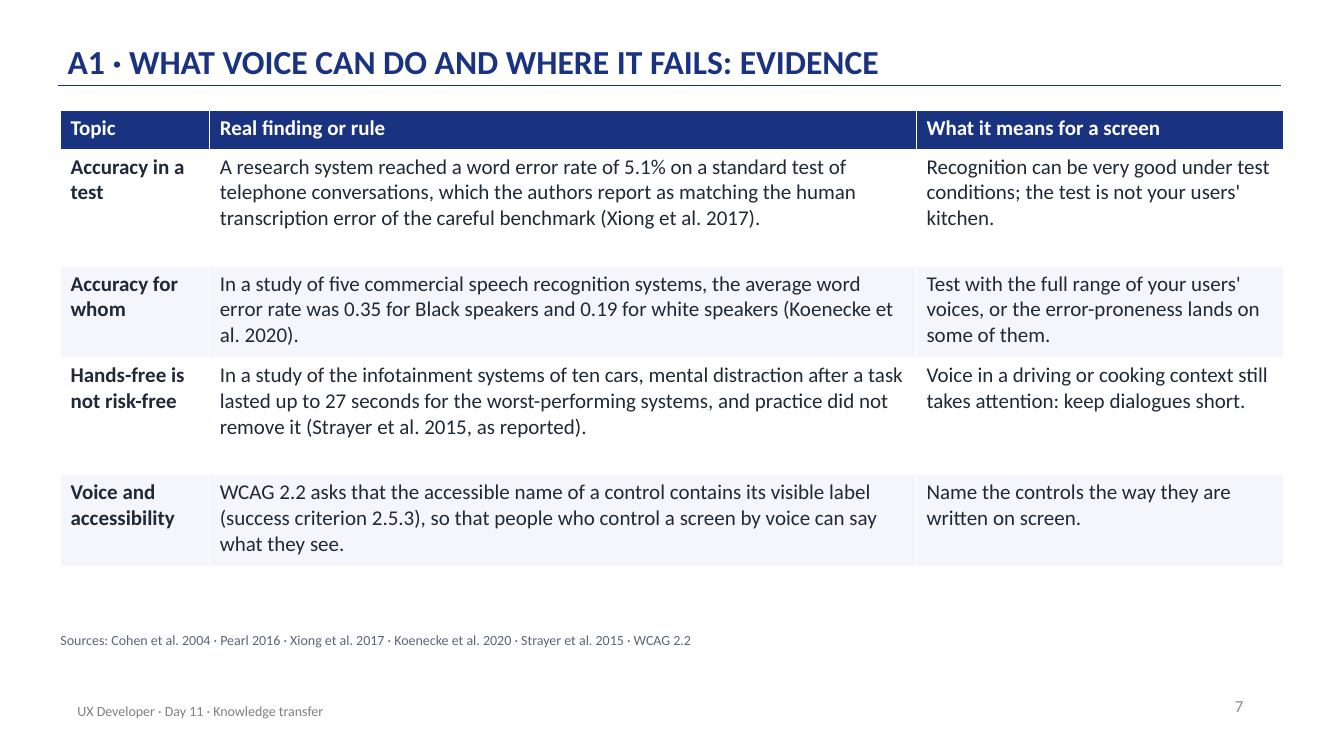
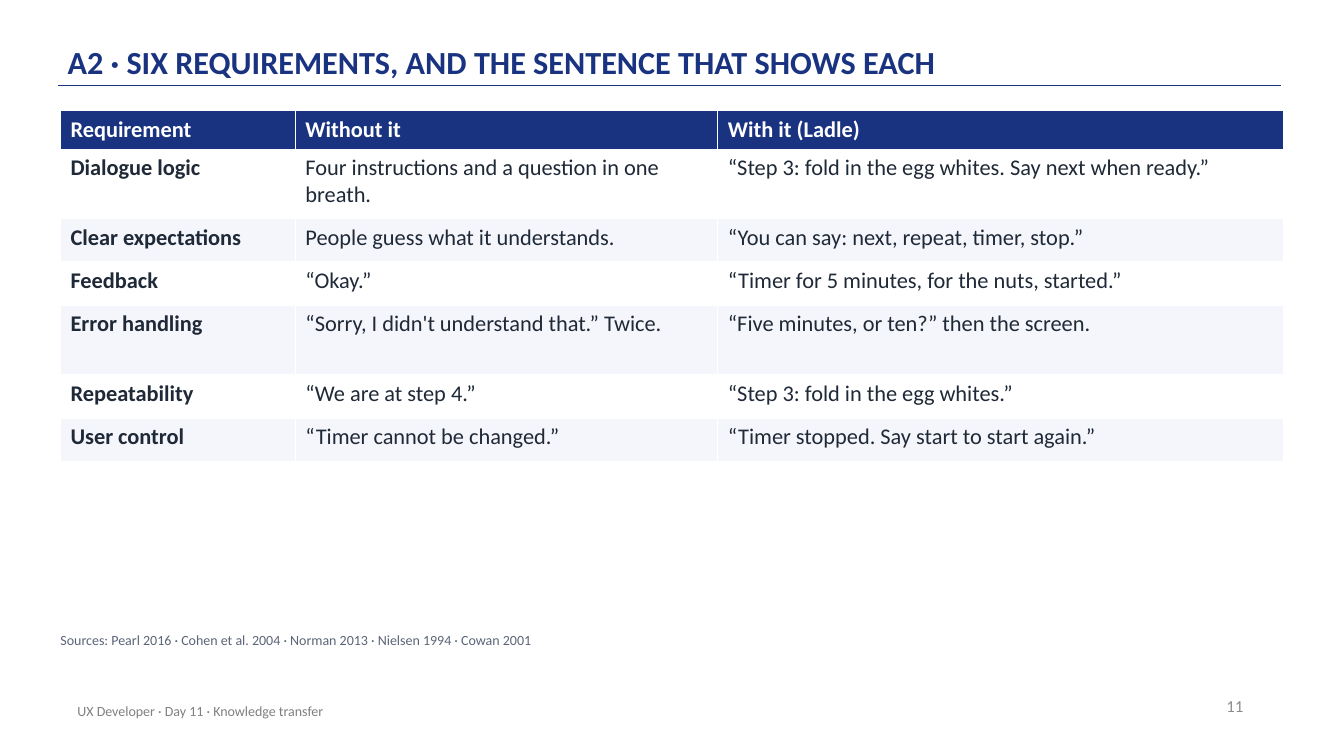
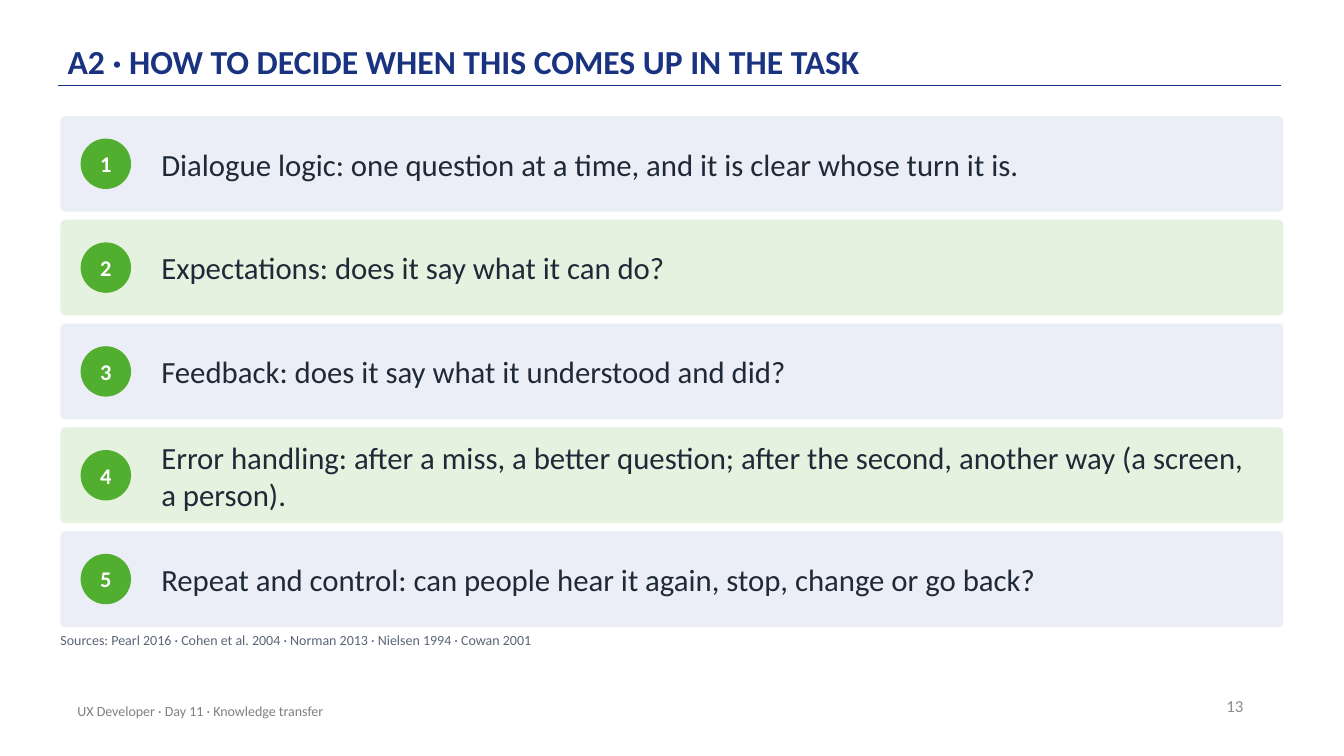
from lxml import etree
from pptx import Presentation
from pptx.dml.color import RGBColor
from pptx.enum.shapes import MSO_CONNECTOR, MSO_SHAPE
from pptx.enum.text import MSO_ANCHOR, PP_ALIGN
from pptx.oxml.ns import qn
from pptx.util import Inches, Pt

LEFT, CENTER, RIGHT = PP_ALIGN.LEFT, PP_ALIGN.CENTER, PP_ALIGN.RIGHT
TOP, MIDDLE, BOTTOM = MSO_ANCHOR.TOP, MSO_ANCHOR.MIDDLE, MSO_ANCHOR.BOTTOM
ROUNDED, OVAL = MSO_SHAPE.ROUNDED_RECTANGLE, MSO_SHAPE.OVAL
STRAIGHT = MSO_CONNECTOR.STRAIGHT

FONT = "Calibri"
NAVY, INK, WHITE, GREEN = "1A3381", "1F2937", "FFFFFF", "51AE2F"
FOOTER_GRAY, NUMBER_GRAY, SOURCE_GRAY = "808080", "8C8C8C", "5B6577"
ROW_FILLS = (WHITE, "F4F6FB")
BAND_FILLS = ("ECEEF7", "E5F2DF")

PAGE_WIDTH, PAGE_HEIGHT = 13.33, 7.5
MARGIN = 0.6
CONTENT_WIDTH = PAGE_WIDTH - 2 * MARGIN
TABLE_TOP = 1.1
BAND_TOP, BAND_HEIGHT, BAND_GAP = 1.15, 0.95, 0.08
BADGE = 0.5
NO_INSETS = (0, 0, 0, 0)
DEFAULT_INSETS = (0.1, 0.05, 0.1, 0.05)

FOOTER = "UX Developer · Day 11 · Knowledge transfer"
REQUIREMENT_SOURCES = "Sources: Pearl 2016 · Cohen et al. 2004 · Norman 2013 · Nielsen 1994 · Cowan 2001"

EVIDENCE = {
    "size": 15,
    "columns": (1.48, 7.01, 3.64),
    "heights": (0.38, 1.16, 0.91, 1.16, 0.91),
    "rows": [
        ("Topic", "Real finding or rule", "What it means for a screen"),
        ("Accuracy in a test",
         "A research system reached a word error rate of 5.1% on a standard test of telephone "
         "conversations, which the authors report as matching the human transcription error of "
         "the careful benchmark (Xiong et al. 2017).",
         "Recognition can be very good under test conditions; the test is not your users' kitchen."),
        ("Accuracy for whom",
         "In a study of five commercial speech recognition systems, the average word error rate "
         "was 0.35 for Black speakers and 0.19 for white speakers (Koenecke et al. 2020).",
         "Test with the full range of your users' voices, or the error-proneness lands on some of them."),
        ("Hands-free is not risk-free",
         "In a study of the infotainment systems of ten cars, mental distraction after a task "
         "lasted up to 27 seconds for the worst-performing systems, and practice did not remove "
         "it (Strayer et al. 2015, as reported).",
         "Voice in a driving or cooking context still takes attention: keep dialogues short."),
        ("Voice and accessibility",
         "WCAG 2.2 asks that the accessible name of a control contains its visible label (success "
         "criterion 2.5.3), so that people who control a screen by voice can say what they see.",
         "Name the controls the way they are written on screen."),
    ],
}

REQUIREMENTS = {
    "size": 16,
    "columns": (2.33, 4.19, 5.61),
    "heights": (0.38, 0.69, 0.43, 0.43, 0.69, 0.43, 0.43),
    "rows": [
        ("Requirement", "Without it", "With it (Ladle)"),
        ("Dialogue logic", "Four instructions and a question in one breath.",
         "“Step 3: fold in the egg whites. Say next when ready.”"),
        ("Clear expectations", "People guess what it understands.",
         "“You can say: next, repeat, timer, stop.”"),
        ("Feedback", "“Okay.”", "“Timer for 5 minutes, for the nuts, started.”"),
        ("Error handling", "“Sorry, I didn't understand that.” Twice.",
         "“Five minutes, or ten?” then the screen."),
        ("Repeatability", "“We are at step 4.”", "“Step 3: fold in the egg whites.”"),
        ("User control", "“Timer cannot be changed.”",
         "“Timer stopped. Say start to start again.”"),
    ],
}

QUESTIONS = [
    "Dialogue logic: one question at a time, and it is clear whose turn it is.",
    "Expectations: does it say what it can do?",
    "Feedback: does it say what it understood and did?",
    "Error handling: after a miss, a better question; after the second, another way "
    "(a screen, a person).",
    "Repeat and control: can people hear it again, stop, change or go back?",
]


def color(hex_text):
    return RGBColor.from_string(hex_text)


def inches(*lengths):
    return [Inches(length) for length in lengths]


def write(frame, text, size, ink=INK, bold=False, align=LEFT, anchor=TOP,
          insets=DEFAULT_INSETS, line_spacing=None, after=None):
    frame.word_wrap = True
    frame.vertical_anchor = anchor
    (frame.margin_left, frame.margin_top,
     frame.margin_right, frame.margin_bottom) = inches(*insets)
    para = frame.paragraphs[0]
    para.alignment = align
    para.line_spacing = line_spacing
    if after is not None:
        para.space_after = Pt(after)
    span = para.add_run()
    span.text = text
    span.font.name, span.font.size, span.font.bold = FONT, Pt(size), bold
    span.font.color.rgb = color(ink)


def add_text(page, box, text, size, **style):
    write(page.shapes.add_textbox(*inches(*box)).text_frame, text, size, **style)


def add_filled(page, kind, box, fill):
    shape = page.shapes.add_shape(kind, *inches(*box))
    shape.shadow.inherit = False
    shape.fill.solid()
    shape.fill.fore_color.rgb = color(fill)
    shape.line.fill.background()
    return shape


def add_page(deck, title, number, sources, title_size=24):
    """Add a slide with the title, rule, footer, number and sources all slides share."""
    page = deck.slides.add_slide(deck.slide_layouts.get_by_name("Title Only"))
    rule = page.shapes.add_connector(STRAIGHT, *inches(0.58, 0.85, 12.71, 0.85))
    rule.line.color.rgb = color(NAVY)
    rule.line.width = Pt(1)
    etree.SubElement(rule.element.spPr, qn("a:effectLst"))

    heading = page.shapes.title
    heading.left, heading.top, heading.width, heading.height = inches(0.67, 0.12, 11, 0.72)
    write(heading.text_frame, title, title_size, ink=NAVY, bold=True, anchor=BOTTOM,
          insets=(0, 0.03, 0, 0.03), line_spacing=0.9)
    add_text(page, (9.43, 6.8, 3, 0.4), str(number), 12, ink=NUMBER_GRAY,
             align=RIGHT, anchor=MIDDLE)
    add_text(page, (0.67, 6.85, 6.7, 0.4), FOOTER, 10, ink=FOOTER_GRAY, anchor=MIDDLE)
    add_text(page, (MARGIN, 6.27, CONTENT_WIDTH, 0.3), sources, 10, ink=SOURCE_GRAY,
             insets=NO_INSETS, after=6)
    return page


def add_grid(page, content):
    rows, widths, heights = content["rows"], content["columns"], content["heights"]
    table = page.shapes.add_table(
        len(rows), len(widths),
        *inches(MARGIN, TABLE_TOP, sum(widths), sum(heights))).table
    table.horz_banding = False
    for column, width in zip(table.columns, widths):
        column.width = Inches(width)
    for row, height in zip(table.rows, heights):
        row.height = Inches(height)
    for row_index, texts in enumerate(rows):
        header = row_index == 0
        fill = NAVY if header else ROW_FILLS[(row_index - 1) % 2]
        for column_index, text in enumerate(texts):
            cell = table.cell(row_index, column_index)
            cell.fill.solid()
            cell.fill.fore_color.rgb = color(fill)
            write(cell.text_frame, text, content["size"], ink=WHITE if header else INK,
                  bold=header or column_index == 0)


def add_question_bands(page, questions):
    for index, question in enumerate(questions):
        top = BAND_TOP + index * (BAND_HEIGHT + BAND_GAP)
        band = add_filled(page, ROUNDED, (MARGIN, top, CONTENT_WIDTH, BAND_HEIGHT),
                          BAND_FILLS[index % 2])
        band.adjustments[0] = 0.05
        badge_top = top + (BAND_HEIGHT - BADGE) / 2
        badge = add_filled(page, OVAL, (MARGIN + 0.2, badge_top, BADGE, BADGE), GREEN)
        write(badge.text_frame, str(index + 1), 16, ink=WHITE, bold=True,
              align=CENTER, anchor=MIDDLE, insets=NO_INSETS)
        add_text(page, (MARGIN + 1, top, CONTENT_WIDTH - 1.2, BAND_HEIGHT), question, 22,
                 anchor=MIDDLE, insets=NO_INSETS)


def main():
    deck = Presentation()
    deck.slide_width, deck.slide_height = inches(PAGE_WIDTH, PAGE_HEIGHT)

    page = add_page(deck, "A1 · WHAT VOICE CAN DO AND WHERE IT FAILS: EVIDENCE", 7,
                    "Sources: Cohen et al. 2004 · Pearl 2016 · Xiong et al. 2017 · "
                    "Koenecke et al. 2020 · Strayer et al. 2015 · WCAG 2.2")
    add_grid(page, EVIDENCE)

    page = add_page(deck, "A2 · SIX REQUIREMENTS, AND THE SENTENCE THAT SHOWS EACH", 11,
                    REQUIREMENT_SOURCES, title_size=23)
    add_grid(page, REQUIREMENTS)

    page = add_page(deck, "A2 · HOW TO DECIDE WHEN THIS COMES UP IN THE TASK", 13,
                    REQUIREMENT_SOURCES)
    add_question_bands(page, QUESTIONS)

    deck.save("out.pptx")


if __name__ == "__main__":
    main()
